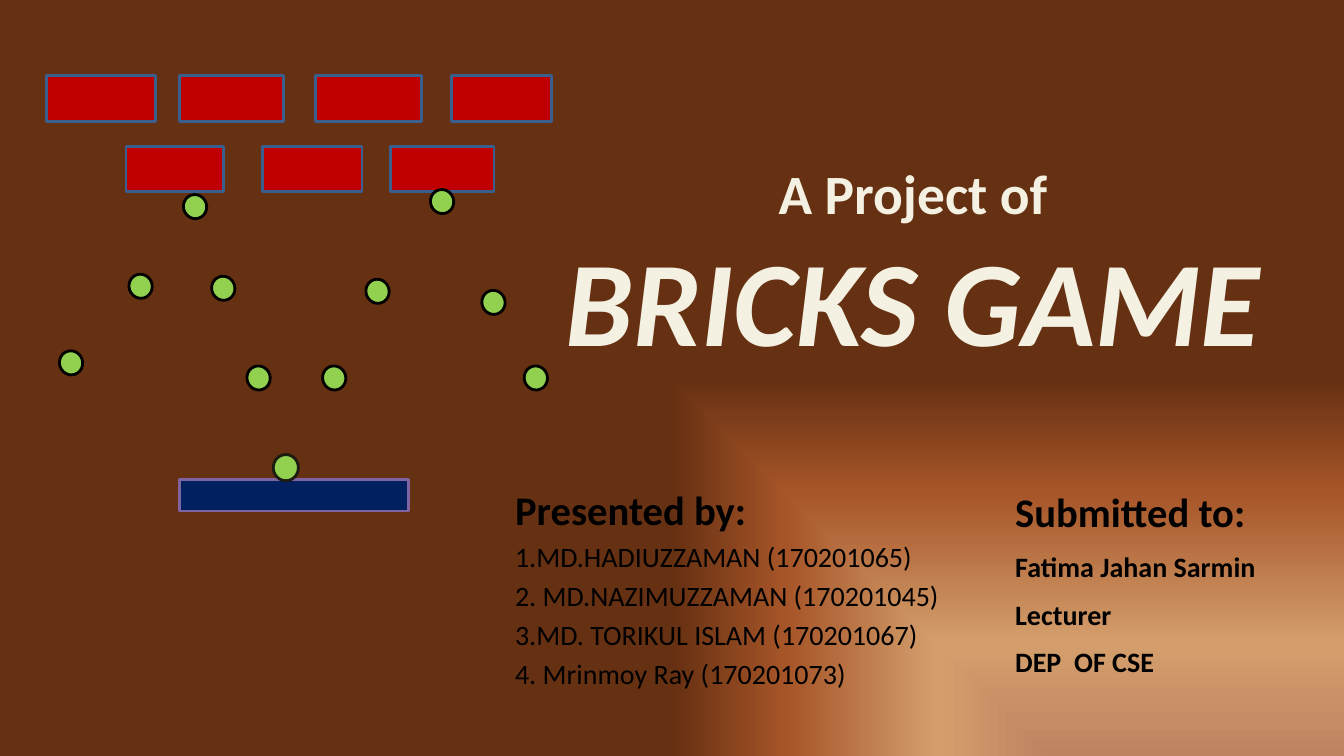
from pptx import Presentation
from pptx.dml.color import RGBColor
from pptx.enum.shapes import MSO_SHAPE as Preset
from pptx.enum.text import MSO_ANCHOR as Anchor, PP_ALIGN as Align
from pptx.oxml import parse_xml
from pptx.util import Inches, Pt

BLACK = RGBColor(0x00, 0x00, 0x00)
CREAM = RGBColor(0xF4, 0xF1, 0xE3)
BRICK_RED = RGBColor(0xC0, 0x00, 0x00)
BRICK_EDGE = RGBColor(0x3A, 0x5F, 0x8C)
NAVY = RGBColor(0x00, 0x20, 0x60)
PURPLE = RGBColor(0x80, 0x64, 0xA2)
GREEN = RGBColor(0x92, 0xD0, 0x50)
DARK_OLIVE = RGBColor(0x1E, 0x1C, 0x11)
BACKGROUND_STOPS = [
    (0, RGBColor(0xBE, 0x84, 0x62)),
    (30, RGBColor(0xD4, 0x9E, 0x6C)),
    (70, RGBColor(0xA6, 0x55, 0x28)),
    (100, RGBColor(0x66, 0x30, 0x12)),
]

deck = Presentation()
deck.slide_width = Inches(13.33)
deck.slide_height = Inches(7.5)
page = deck.slides.add_slide(deck.slide_layouts[6])

page.background.fill.gradient()
gradient = page.element.xpath(".//p:bgPr/a:gradFill")[0]
stops = "".join(
    f'<a:gs pos="{percent * 1000}"><a:srgbClr val="{color}"/></a:gs>'
    for percent, color in BACKGROUND_STOPS
)
gradient.getparent().replace(gradient, parse_xml(
    '<a:gradFill xmlns:a="http://schemas.openxmlformats.org/drawingml/2006/main" rotWithShape="1">'
    f'<a:gsLst>{stops}</a:gsLst>'
    '<a:path path="rect"><a:fillToRect l="100000" t="100000"/></a:path></a:gradFill>'
))


def add_figure(preset, left, top, width, height, fill, edge):
    figure = page.shapes.add_shape(
        preset, Inches(left), Inches(top), Inches(width), Inches(height))
    figure.shadow.inherit = False
    figure.fill.solid()
    figure.fill.fore_color.rgb = fill
    figure.line.color.rgb = edge
    figure.line.width = Pt(2)
    return figure


def add_text_box(left, top, width, height):
    box = page.shapes.add_textbox(
        Inches(left), Inches(top), Inches(width), Inches(height))
    box.text_frame.word_wrap = True
    return box.text_frame


title = add_text_box(4.93, 1.58, 8.25, 2.09)
title.vertical_anchor = Anchor.MIDDLE
para = title.paragraphs[0]
para.alignment = Align.CENTER
para.font.name = "Calibri"
para.font.bold = True
para.font.color.rgb = CREAM
span = para.add_run()
span.text = "A Project of"
span.font.size = Pt(39.6)
para.add_line_break()
span = para.add_run()
span.text = "BRICKS GAME"
span.font.size = Pt(86.4)
span.font.italic = True

BRICK_ROWS = [
    (0.75, 0.46, [(0.46, 1.08), (1.78, 1.03), (3.13, 1.05), (4.48, 0.99)]),
    (1.45, 0.45, [(1.25, 0.97), (2.6, 0.99), (3.87, 1.03)]),
]
for top, height, bricks in BRICK_ROWS:
    for left, width in bricks:
        add_figure(Preset.RECTANGLE, left, top, width, height, BRICK_RED, BRICK_EDGE)

add_figure(Preset.RECTANGLE, 1.78, 4.76, 2.27, 0.31, NAVY, PURPLE)
add_figure(Preset.OVAL, 2.71, 4.51, 0.25, 0.26, GREEN, DARK_OLIVE)

BALLS = [
    (1.82, 1.93), (4.27, 1.88), (1.28, 2.72), (2.1, 2.74), (3.63, 2.77),
    (4.78, 2.88), (0.59, 3.48), (2.45, 3.63), (3.2, 3.63), (5.2, 3.63),
]
for left, top in BALLS:
    ball = add_figure(Preset.OVAL, left, top, 0.23, 0.24, GREEN, BLACK)
    ball.rotation = 341.4

CREDITS = [
    ((5.01, 4.76, 4.65, 2.42), Align.LEFT, 4, False, [
        "Presented by:",
        "1.MD.HADIUZZAMAN (170201065)",
        "2. MD.NAZIMUZZAMAN (170201045)",
        "3.MD. TORIKUL ISLAM (170201067)",
        "4. Mrinmoy Ray (170201073)",
    ]),
    ((9.97, 4.78, 3.85, 2.09), Align.JUSTIFY, 10, True, [
        "Submitted to:",
        "Fatima Jahan Sarmin",
        "Lecturer",
        "DEP  OF CSE",
    ]),
]
for place, alignment, gap, bold_names, lines in CREDITS:
    frame = add_text_box(*place)
    for index, line in enumerate(lines):
        heading = index == 0
        para = frame.paragraphs[0] if heading else frame.add_paragraph()
        para.text = line
        para.alignment = alignment
        para.space_before = Pt(gap)
        para.font.name = "Calibri"
        para.font.size = Pt(29 if heading else 20)
        para.font.bold = heading or bold_names
        para.font.color.rgb = BLACK

deck.save("out.pptx")
